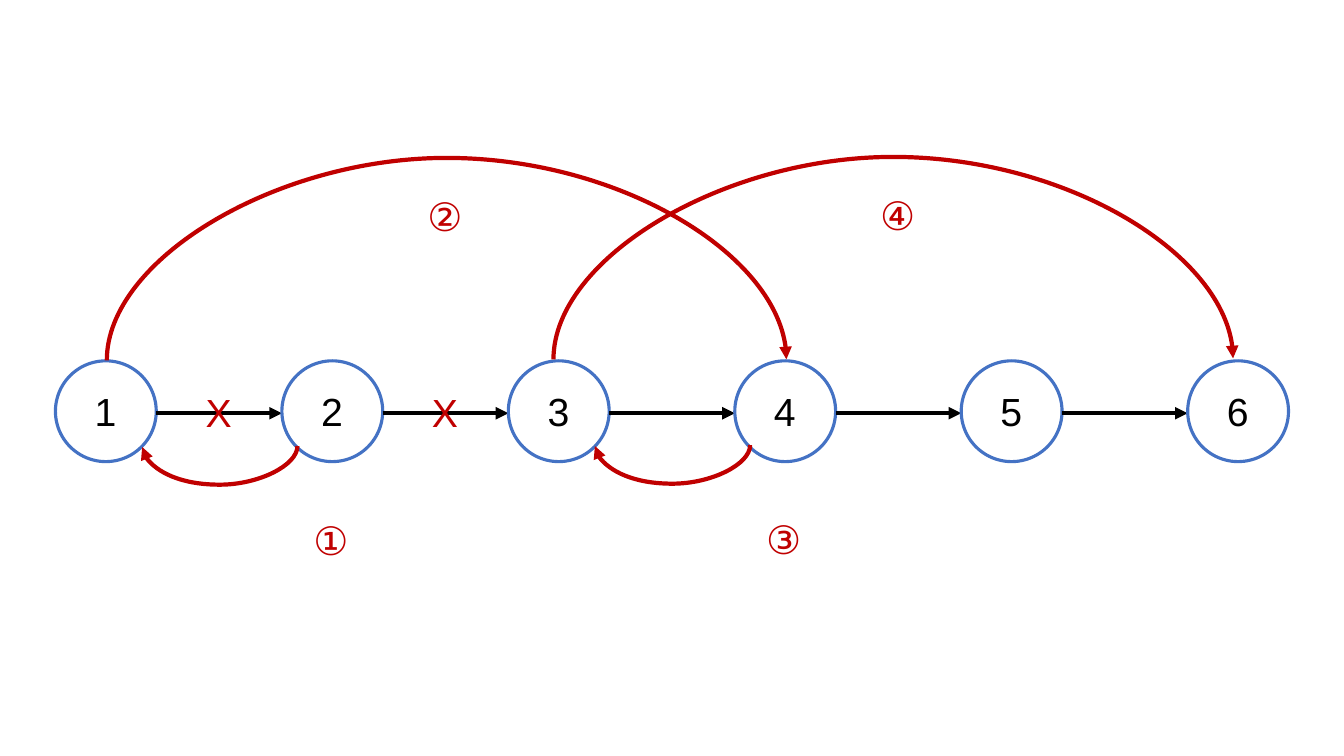
from lxml.etree import SubElement
from pptx import Presentation
from pptx.dml.color import RGBColor
from pptx.enum.shapes import MSO_CONNECTOR, MSO_SHAPE
from pptx.enum.text import MSO_AUTO_SIZE
from pptx.oxml.ns import qn
from pptx.util import Inches, Pt

BLACK, BLUE, RED = "000000", "4472C4", "C00000"
DIAMETER = 1
DROP = 0.01


def color(hex_string):
    return RGBColor.from_string(hex_string)


def add_text(slide, text, left, top, width, *, height=0.57, size=28, font="Arial", fill=BLACK):
    box = slide.shapes.add_textbox(Inches(left), Inches(top), Inches(width), Inches(height))
    frame = box.text_frame
    frame.word_wrap = False
    frame.auto_size = MSO_AUTO_SIZE.SHAPE_TO_FIT_TEXT
    run = frame.paragraphs[0].add_run()
    run.text = text
    run.font.size = Pt(size)
    run.font.name = font
    run.font.color.rgb = color(fill)


def add_node(slide, left, top):
    circle = slide.shapes.add_shape(
        MSO_SHAPE.OVAL, Inches(left), Inches(top), Inches(DIAMETER), Inches(DIAMETER))
    circle.shadow.inherit = False
    circle.fill.background()
    circle.line.color.rgb = color(BLUE)
    circle.line.width = Pt(2.25)


def add_arrow(slide, kind, start, end, line_color):
    arrow = slide.shapes.add_connector(kind, *map(Inches, (*start, *end)))
    arrow.line.color.rgb = color(line_color)
    arrow.line.width = Pt(3)
    properties = arrow._element.spPr
    SubElement(properties.find(qn("a:ln")), qn("a:tailEnd"), type="triangle")
    SubElement(properties, qn("a:effectLst"))
    return arrow


def add_arc(slide, start_x, end_x, y, depth):
    span = abs(end_x - start_x)
    center = (start_x + end_x) / 2
    corners = [(center - DROP / 2, y - span / 2), (center + DROP / 2, y + span / 2)]
    if end_x > start_x:
        corners.reverse()
    arc = add_arrow(slide, MSO_CONNECTOR.CURVE, *corners, RED)
    properties = arc._element.spPr
    properties.find(qn("a:xfrm")).set("rot", str(90 * 60000))
    adjustments = properties.find(qn("a:prstGeom")).find(qn("a:avLst"))
    SubElement(adjustments, qn("a:gd"), name="adj1", fmla=f"val {round(depth / DROP * 100000)}")


def draw_list(slide, left, top, width, count):
    pitch = (width - DIAMETER) / (count - 1)
    for index in range(count):
        node_left = left + index * pitch
        add_text(slide, str(index + 1), node_left + 0.29, top + 0.21, 0.42)
        add_node(slide, node_left, top)
        if index < count - 1:
            start = node_left + DIAMETER
            add_arrow(slide, MSO_CONNECTOR.STRAIGHT, (start, top + 0.52),
                      (node_left + pitch, top + 0.52), BLACK)
    for index in range(2):
        add_text(slide, "X", left + 1.39 + index * pitch, top + 0.22, 0.46, fill=RED)


def draw_swap(slide, left, top, back_label, leap_label, leap_start):
    add_arc(slide, left + 2.4, left + 0.86, top + 0.85, 0.39)
    add_text(slide, back_label, left + 2.46, top + 1.49, 0.59, fill=RED)
    add_arc(slide, left + leap_start, left + leap_start + 6.74, top - 0.01, 2.04)
    add_text(slide, leap_label, left + 3.59, top - 1.72, 0.59, fill=RED)


presentation = Presentation()
presentation.slide_width = Inches(13.33)
presentation.slide_height = Inches(7.5)
slide = presentation.slides.add_slide(presentation.slide_layouts[6])
draw_list(slide, 0.55, 3.58, 12.23, 6)
draw_swap(slide, 0.55, 3.58, "①", "②", 0.51)
draw_swap(slide, 5.04, 3.57, "③", "④", 0.45)
presentation.save("out.pptx")
